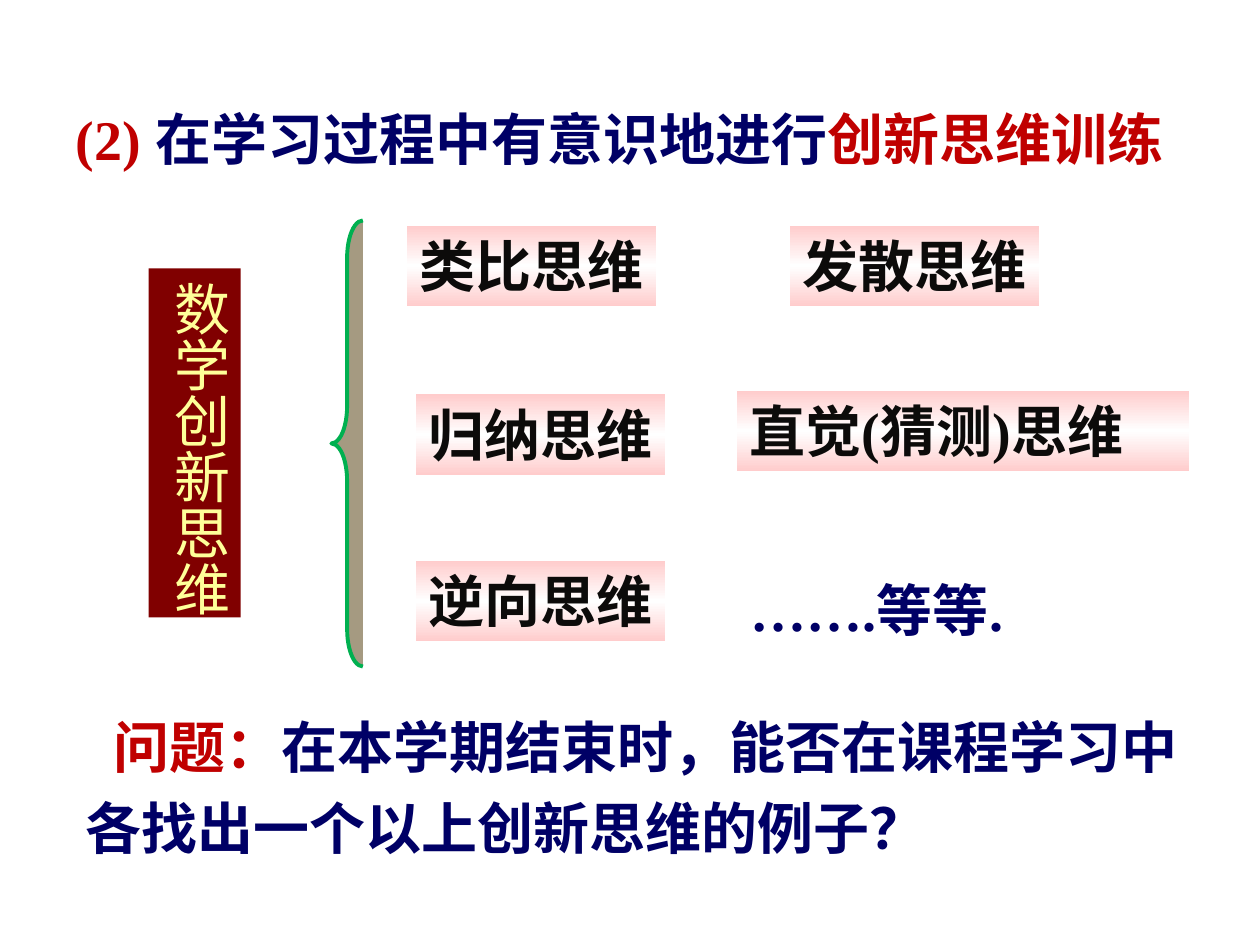
from copy import deepcopy
from dataclasses import dataclass

from pptx import Presentation
from pptx.dml.color import RGBColor
from pptx.enum.shapes import MSO_SHAPE as Shape
from pptx.enum.text import MSO_ANCHOR as Anchor, MSO_AUTO_SIZE as AutoSize, PP_ALIGN as Align
from pptx.oxml.ns import qn
from pptx.util import Inches, Pt


@dataclass(frozen=True)
class Theme:
    font: str = "Times New Roman"
    size: int = 32
    navy: str = "000066"
    red: str = "C00000"
    ink: str = "0C0B0A"
    maroon: str = "800000"
    yellow: str = "FFFF99"
    pink: str = "FFCCCC"
    white: str = "FFFFFF"
    green: str = "00B050"
    taupe: str = "A59A81"


THEME = Theme()


def color(value):
    return RGBColor.from_string(value)


def write(shape, runs, bold=True, wrap=False, margins=(0.1, 0.05), spacing=None):
    frame = shape.text_frame
    frame.word_wrap = wrap
    frame.auto_size = AutoSize.SHAPE_TO_FIT_TEXT
    frame.vertical_anchor = Anchor.TOP
    frame.margin_left = frame.margin_right = Inches(margins[0])
    frame.margin_top = frame.margin_bottom = Inches(margins[1])
    paragraph = frame.paragraphs[0]
    paragraph.alignment = Align.LEFT
    if spacing:
        paragraph.line_spacing = spacing
    for text, run_color in runs:
        run = paragraph.add_run()
        run.text = text
        run.font.name = THEME.font
        run.font.size = Pt(THEME.size)
        run.font.bold = bold
        run.font.color.rgb = color(run_color)
    return paragraph


def place(shape, *box):
    shape.left, shape.top, shape.width, shape.height = map(Inches, box)


def add_title(slide, runs):
    title = slide.shapes.title
    place(title, 0.5, 0.67, 9.25, 0.74)
    paragraph = write(title, runs, wrap=True, spacing=1.2)
    paragraph.space_before = Pt(0)


def add_text(slide, box, runs, **options):
    text_box = slide.shapes.add_textbox(*map(Inches, box))
    return write(text_box, runs, **options)


def add_plain_shape(slide, kind, box):
    shape = slide.shapes.add_shape(kind, *map(Inches, box))
    shape.shadow.inherit = False
    shape.line.fill.background()
    return shape


def add_topic_banner(slide, text):
    banner = add_plain_shape(slide, Shape.RECTANGLE, (1.18, 2.13, 0.73, 2.77))
    banner.fill.solid()
    banner.fill.fore_color.rgb = color(THEME.maroon)
    write(banner, [(text, THEME.yellow)], bold=False, margins=(0.05, 0.1))
    banner.text_frame._txBody.bodyPr.set("vert", "eaVert")


def add_brace(slide):
    brace = add_plain_shape(slide, Shape.LEFT_BRACE, (2.63, 1.75, 0.25, 3.54))
    brace.adjustments[0] = 1.18
    brace.fill.solid()
    brace.fill.fore_color.rgb = color(THEME.taupe)
    brace.line.color.rgb = color(THEME.green)
    brace.line.width = Pt(2.25)


def fill_pink_band(shape):
    fill = shape.fill
    fill.gradient()
    fill.gradient_angle = 90
    stop_list = shape._element.spPr.find(qn("a:gradFill")).find(qn("a:gsLst"))
    stop_list.insert(1, deepcopy(stop_list[0]))
    bands = ((0, THEME.pink), (0.5, THEME.white), (1, THEME.pink))
    for stop, (position, stop_color) in zip(fill.gradient_stops, bands):
        stop.position = position
        stop.color.rgb = color(stop_color)


def add_thinking_label(slide, text, left, top, width=1.98):
    label = add_plain_shape(slide, Shape.RECTANGLE, (left, top, width, 0.64))
    fill_pink_band(label)
    write(label, [(text, THEME.ink)])


def main():
    presentation = Presentation()
    presentation.slide_width, presentation.slide_height = Inches(10), Inches(7.5)
    slide = presentation.slides.add_slide(presentation.slide_layouts[5])

    add_title(slide, [
        ("(2) ", THEME.red),
        ("在学习过程中有意识地进行", THEME.navy),
        ("创新思维训练", THEME.red),
    ])
    add_topic_banner(slide, "数学创新思维")
    add_brace(slide)
    for label in (
        ("类比思维", 3.23, 1.79),
        ("归纳思维", 3.3, 3.13),
        ("逆向思维", 3.3, 4.45),
        ("发散思维", 6.27, 1.79),
        ("直觉(猜测)思维", 5.85, 3.1, 3.59),
    ):
        add_thinking_label(slide, *label)
    add_text(slide, (5.86, 4.52, 2.41, 0.64), [("…….等等.", THEME.navy)])
    question = add_text(slide, (0.58, 5.5, 8.92, 1.38), [
        ("问题：", THEME.red),
        ("在本学期结束时，能否在课程学习中各找出一个以上创新思维的例子？", THEME.navy),
    ], wrap=True, spacing=1.2)
    question._p.get_or_add_pPr().set("indent", str(Inches(0.22)))

    presentation.save("out.pptx")


if __name__ == "__main__":
    main()
